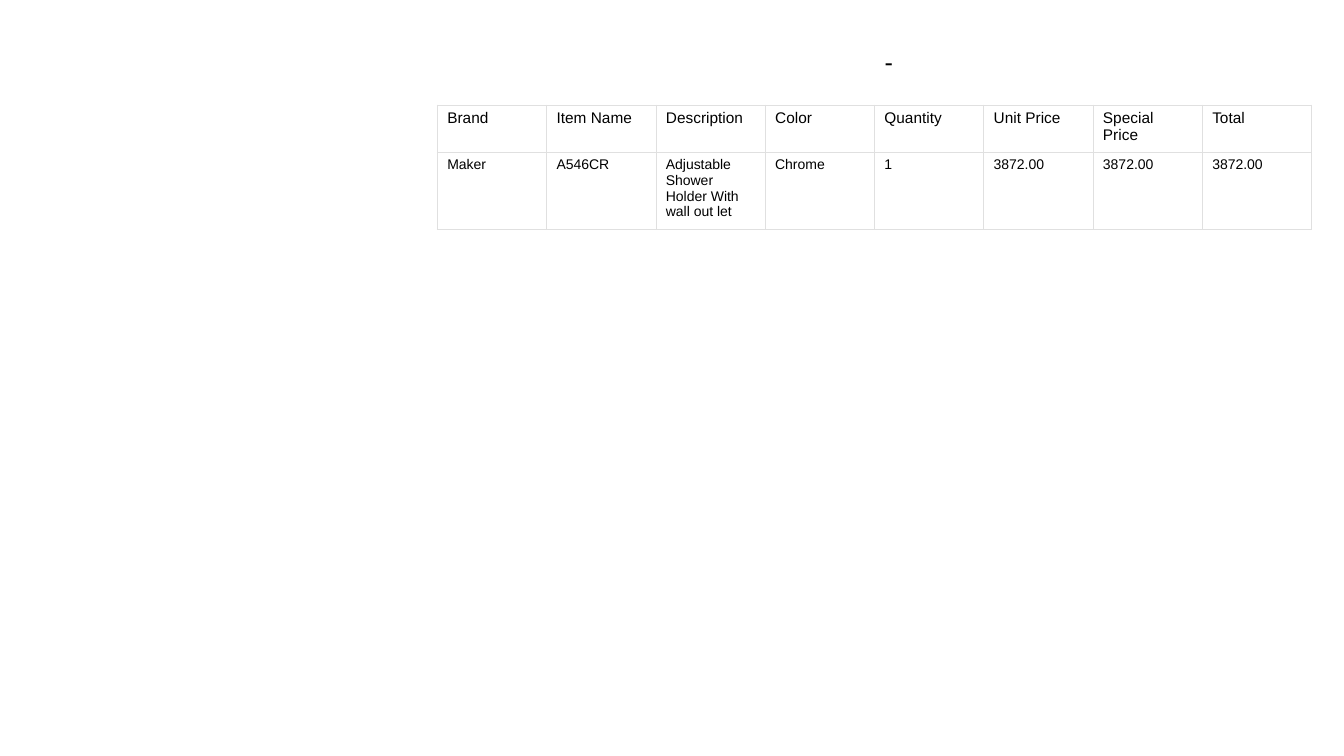
from pptx import Presentation
from pptx import util as u
from pptx.dml import color
from pptx.enum import text
from pptx.oxml import parse_xml
from pptx.oxml import ns

HEAD = ["Brand", "Item Name", "Description", "Color",
        "Quantity", "Unit Price", "Special Price", "Total"]
ITEM = ["Maker", "A546CR", "Adjustable Shower Holder With wall out let", "Chrome",
        "1", "3872.00", "3872.00", "3872.00"]
BLACK, WHITE, GREY = "000000", "FFFFFF", "E0E0E0"


def rgb(code):
    return color.RGBColor.from_string(code)


def style(para, size):
    para.alignment = text.PP_ALIGN.LEFT
    para.font.name = "Arial"
    para.font.size = u.Pt(size)
    para.font.color.rgb = rgb(BLACK)


def border(cell):
    """Draw a thin grey line on all four sides of a cell."""
    props = cell._tc.get_or_add_tcPr()
    for at, side in enumerate(("lnL", "lnR", "lnT", "lnB")):
        props.insert(at, parse_xml(
            f'<a:{side} {ns.nsdecls("a")} w="{u.Pt(0.45)}"><a:solidFill>'
            f'<a:srgbClr val="{GREY}"/></a:solidFill></a:{side}>'))


def add_title(slide, words):
    title = slide.shapes.title
    title.left, title.top = u.Inches(8.68), u.Inches(0.17)
    title.width, title.height = u.Inches(1.74), u.Inches(0.87)
    frame = title.text_frame
    frame.text = words
    frame.vertical_anchor = text.MSO_ANCHOR.MIDDLE
    frame.auto_size = text.MSO_AUTO_SIZE.NONE
    style(frame.paragraphs[0], 18)


def add_prices(slide, rows, sizes, heights):
    table = slide.shapes.add_table(
        len(rows), len(HEAD), u.Inches(4.34), u.Inches(1.04),
        u.Inches(8.68), u.Inches(sum(heights))).table
    table.first_row = table.horz_banding = False
    for r, (row, size, height) in enumerate(zip(rows, sizes, heights)):
        table.rows[r].height = u.Inches(height)
        for c, words in enumerate(row):
            cell = table.cell(r, c)
            cell.text = words
            cell.fill.solid()
            cell.fill.fore_color.rgb = rgb(WHITE)
            style(cell.text_frame.paragraphs[0], size)
            border(cell)


def main():
    deck = Presentation()
    deck.slide_width, deck.slide_height = u.Inches(13.34), u.Inches(7.5)
    slide = deck.slides.add_slide(deck.slide_layouts.get_by_name("Title Only"))
    add_title(slide, "-")
    add_prices(slide, [HEAD, ITEM], [11, 10], [0.47, 0.77])
    deck.save("out.pptx")


if __name__ == "__main__":
    main()
